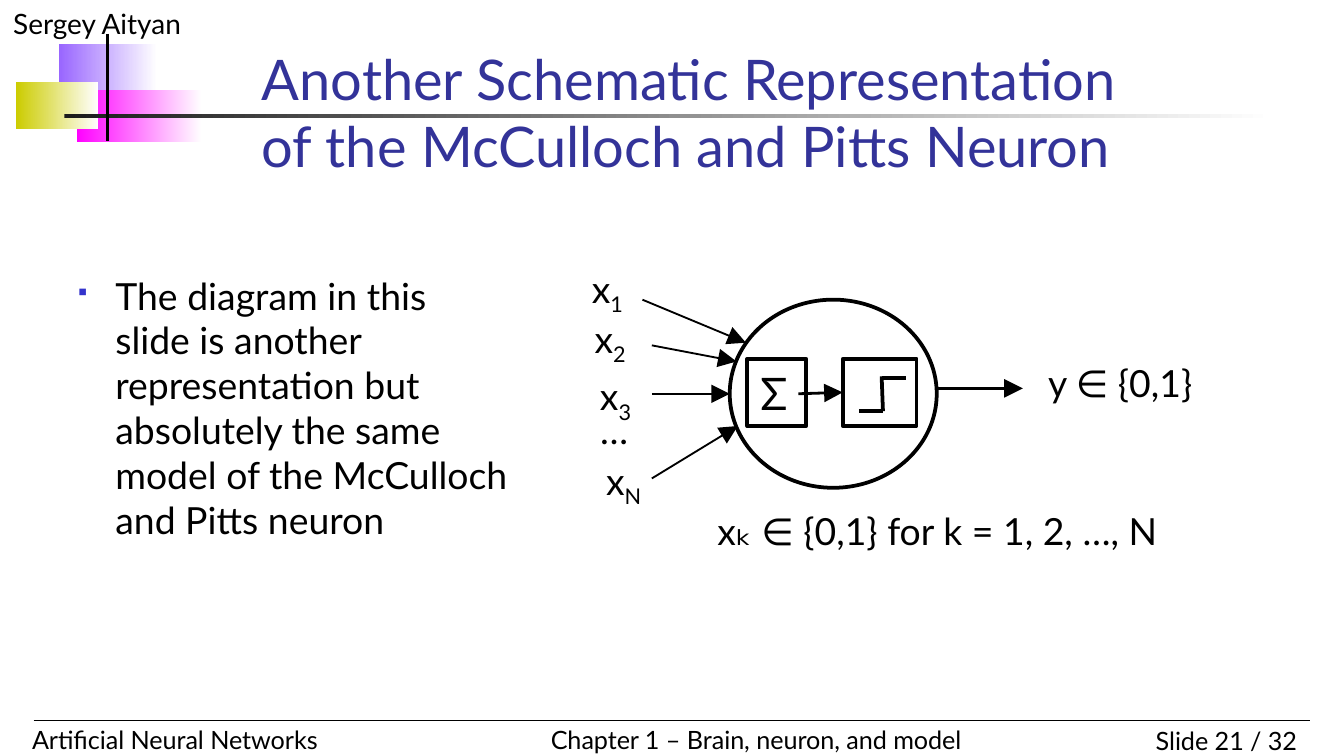
from dataclasses import dataclass

from lxml.etree import SubElement
from pptx import Presentation
from pptx.dml.color import RGBColor as Rgb
from pptx.enum.shapes import MSO_CONNECTOR as Link, MSO_SHAPE as Form
from pptx.enum.text import MSO_ANCHOR as Anchor, PP_ALIGN as Align
from pptx.oxml.ns import qn
from pptx.util import Inches, Pt

INK = {
    "black": "000000", "white": "FFFFFF", "title": "333399", "bullet": "3333CC",
    "violet": "9966FF", "pink": "FF00FF", "olive": "CCCC00", "rule": "1C1C1C",
}
FONT = "Lato"


@dataclass
class Fade:
    box: tuple
    ink: str


@dataclass
class Label:
    box: tuple
    text: str
    sub: str = ""
    size: float = 20
    align: Align = Align.CENTER
    inset: bool = False
    wrap: bool = True
    ink: str = "black"


@dataclass
class Line:
    start: tuple
    end: tuple
    width: float
    arrow: bool = False


FADES = [
    Fade((0.44, 0.33, 0.73, 0.39), "violet"),
    Fade((0.57, 0.67, 0.93, 0.39), "pink"),
    Fade((0.12, 0.61, 0.61, 0.35), "olive"),
    Fade((0.48, 0.85, 9, 0.03), "rule"),
]
FRAME = [
    Label((0, 0, 2.5, 0.35), "Sergey Aityan", size=15, align=Align.LEFT, inset=True),
    Label((8.25, 5.35, 1.5, 0.33), "Slide 21 / 32", size=13.5, align=Align.RIGHT, inset=True),
    Label((0.14, 5.34, 3.7, 0.33), "Artificial Neural Networks", size=13.5,
          align=Align.LEFT, inset=True),
    Label((4, 5.34, 3.46, 0.33), "Chapter 1 – Brain, neuron, and model", size=13.5,
          align=Align.LEFT, inset=True, wrap=False),
]
RULES = [
    Line((0.25, 5.36), (9.75, 5.36), 0.75),
    Line((0.8, 0.25), (0.8, 1.05), 2),
]
TITLE = Label((1.85, 0.84, 6.85, 0.54),
              "Another Schematic Representation of the McCulloch and Pitts Neuron",
              size=30, align=Align.LEFT, inset=True, ink="title")
BODY = Label((0.48, 1.98, 3.41, 2.42),
             "The diagram in this slide is another representation but absolutely "
             "the same model of the McCulloch and Pitts neuron",
             align=Align.LEFT, inset=True)
SIGNALS = [
    Label((4.35, 1.98, 0.34, 0.34), "x", "1"),
    Label((4.33, 2.35, 0.42, 0.34), "x", "2"),
    Label((4.39, 2.78, 0.38, 0.34), "x", "3"),
    Label((4.38, 3.03, 0.38, 0.34), "…"),
    Label((4.45, 3.41, 0.38, 0.34), "x", "N"),
    Label((5.17, 3.78, 3.61, 0.34), "xₖ ∈ {0,1} for k = 1, 2, …, N"),
    Label((7.74, 2.68, 1.19, 0.34), "y ∈ {0,1}"),
]
WIRES = [
    Line((4.78, 2.23), (5.55, 2.55), 1, True),
    Line((4.85, 2.57), (5.48, 2.69), 1, True),
    Line((4.85, 2.93), (5.43, 2.93), 1, True),
    Line((4.85, 3.56), (5.49, 3.17), 1, True),
    Line((6.98, 2.89), (7.61, 2.89), 1.5, True),
]
STEP = [
    Line((6.39, 3.06), (6.57, 3.06), 2),
    Line((6.56, 2.81), (6.74, 2.81), 2),
    Line((6.56, 2.8), (6.57, 3.06), 2),
]
INNER = Line((5.94, 2.93), (6.27, 2.92), 1.5, True)


def rgb(name: str) -> Rgb:
    return Rgb.from_string(INK[name])


def place(box: tuple) -> list:
    return [Inches(n) for n in box]


def style(par, size: float, ink: str, align: Align) -> None:
    par.font.name = FONT
    par.font.size = Pt(size)
    par.font.color.rgb = rgb(ink)
    par.alignment = align


def draw_fade(shapes, fade: Fade) -> None:
    shape = shapes.add_shape(Form.RECTANGLE, *place(fade.box))
    shape.shadow.inherit = False
    shape.line.fill.background()
    shape.fill.gradient()
    shape.fill.gradient_angle = 0
    for stop, ink in zip(shape.fill.gradient_stops, (fade.ink, "white")):
        stop.color.rgb = rgb(ink)


def draw_label(shapes, label: Label):
    frame = shapes.add_textbox(*place(label.box)).text_frame
    frame.word_wrap = label.wrap
    if not label.inset:
        frame.margin_left = frame.margin_right = 0
        frame.margin_top = frame.margin_bottom = 0
    par = frame.paragraphs[0]
    style(par, label.size, label.ink, label.align)
    par.add_run().text = label.text
    if label.sub:
        run = par.add_run()
        run.text = label.sub
        run._r.get_or_add_rPr().set("baseline", "-25000")
    return frame


def draw_line(shapes, line: Line):
    link = shapes.add_connector(Link.STRAIGHT, *place(line.start + line.end))
    link.line.color.rgb = rgb("black")
    link.line.width = Pt(line.width)
    if line.arrow:
        SubElement(link.line._get_or_add_ln(), qn("a:tailEnd"),
                   type="triangle", w="lg", len="lg")
    SubElement(link._element.spPr, qn("a:effectLst"))
    return link


def draw_shape(shapes, form: Form, box: tuple):
    shape = shapes.add_shape(form, *place(box))
    shape.shadow.inherit = False
    shape.fill.background()
    shape.line.color.rgb = rgb("black")
    shape.line.width = Pt(2)
    return shape


def add_bullet(par) -> None:
    """Hang a small square, which is the § of Wingdings."""
    props = par._p.get_or_add_pPr()
    props.set("marL", str(Inches(0.28)))
    props.set("indent", str(-Inches(0.28)))
    tint = SubElement(props, qn("a:buClr"))
    SubElement(tint, qn("a:srgbClr"), val=INK["bullet"])
    SubElement(props, qn("a:buSzPct"), val="60000")
    SubElement(props, qn("a:buFont"), typeface="Wingdings", charset="2")
    SubElement(props, qn("a:buChar"), char="§")


def draw_neuron(shapes) -> None:
    for wire in WIRES:
        draw_line(shapes, wire)
    for label in SIGNALS:
        draw_label(shapes, label)
    draw_shape(shapes, Form.OVAL, (5.43, 2.23, 1.54, 1.4))
    gate = draw_shape(shapes, Form.RECTANGLE, (6.27, 2.67, 0.55, 0.5))
    total = draw_shape(shapes, Form.RECTANGLE, (5.56, 2.67, 0.44, 0.5))
    total.text_frame.text = "Σ"
    style(total.text_frame.paragraphs[0], 24, "black", Align.LEFT)
    for line in STEP:
        draw_line(shapes, line)
    draw_line(shapes, INNER).end_connect(gate, 1)


def main() -> None:
    deck = Presentation()
    deck.slide_width = Inches(10)
    deck.slide_height = deck.slide_width * 9 // 16
    shapes = deck.slides.add_slide(deck.slide_layouts[6]).shapes
    for fade in FADES:
        draw_fade(shapes, fade)
    for label in FRAME:
        draw_label(shapes, label)
    for rule in RULES:
        draw_line(shapes, rule)
    draw_label(shapes, TITLE).vertical_anchor = Anchor.BOTTOM
    add_bullet(draw_label(shapes, BODY).paragraphs[0])
    draw_neuron(shapes)
    deck.save("out.pptx")


if __name__ == "__main__":
    main()
